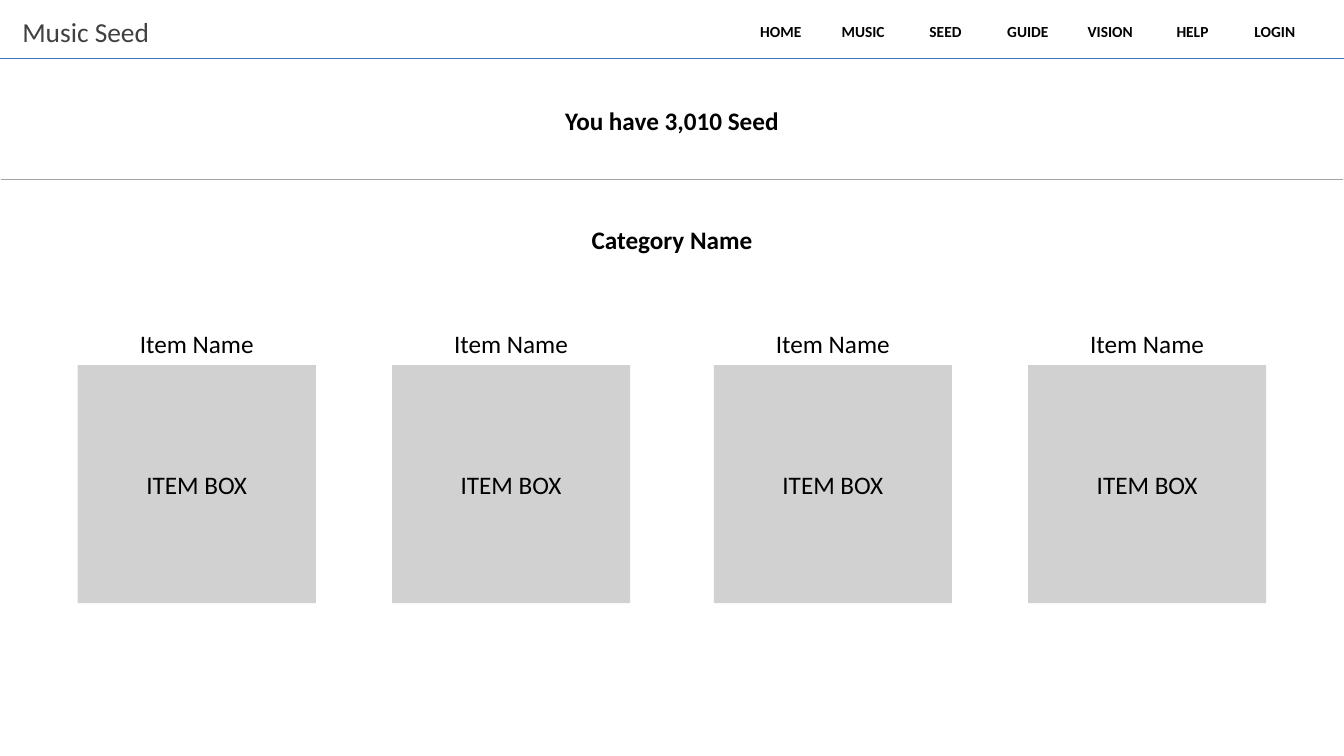
from lxml import etree
from pptx import Presentation
from pptx.dml.color import RGBColor
from pptx.enum.shapes import MSO_CONNECTOR, MSO_SHAPE
from pptx.enum.text import MSO_ANCHOR, PP_ALIGN
from pptx.oxml import parse_xml
from pptx.oxml.ns import nsdecls, qn
from pptx.util import Cm, Pt

FONT = "Calibri"
BLACK = RGBColor(0x00, 0x00, 0x00)
WHITE = RGBColor(0xFF, 0xFF, 0xFF)
DARK_GREY = RGBColor(0x40, 0x40, 0x40)
GREY = RGBColor(0xA5, 0xA5, 0xA5)
BLUE = RGBColor(0x44, 0x72, 0xC4)

# Lengths in centimetres
SLIDE_W, SLIDE_H = 33.87, 19.05
MENU = ["HOME", "MUSIC", "SEED", "GUIDE", "VISION", "HELP", "LOGIN"]
BOX = 6.0
BOX_TOP = 9.2
LABEL_H = 1.08
OUTER, INNER = 1.96, 9.88
# The right pair of items mirrors the left pair
ITEM_LEFTS = [OUTER, INNER, SLIDE_W - INNER - BOX, SLIDE_W - OUTER - BOX]


def place(left, top, width, height):
    return Cm(left), Cm(top), Cm(width), Cm(height)


def write(frame, text, size=18, color=BLACK, bold=False):
    """Fill a text frame with one centred line."""
    frame.text = text
    frame.word_wrap = True
    frame.vertical_anchor = MSO_ANCHOR.MIDDLE
    paragraph = frame.paragraphs[0]
    paragraph.alignment = PP_ALIGN.CENTER
    font = paragraph.runs[0].font
    font.name, font.size, font.bold = FONT, Pt(size), bold
    font.color.rgb = color


def add_label(slide, box, text, **style):
    write(slide.shapes.add_textbox(*place(*box)).text_frame, text, **style)


def add_item_box(slide, left, text):
    shape = slide.shapes.add_shape(
        MSO_SHAPE.RECTANGLE, *place(left, BOX_TOP, BOX, BOX))
    shape.shadow.inherit = False
    shape.fill.solid()
    shape.fill.fore_color.rgb = GREY
    color = shape.fill._xPr.find(qn("a:solidFill"))[0]
    etree.SubElement(color, qn("a:alpha"), val="50000")
    shape.line.fill.background()
    write(shape.text_frame, text)


def add_rule(slide, top, color, width):
    line = slide.shapes.add_connector(
        MSO_CONNECTOR.STRAIGHT, Cm(0), Cm(top), Cm(SLIDE_W), Cm(top))
    line.line.color.rgb = color
    line.line.width = Pt(width)
    etree.SubElement(line._element.spPr, qn("a:effectLst"))


def set_border(cell, side, color, width):
    cell._tc.get_or_add_tcPr().append(parse_xml(
        f'<a:ln{side} {nsdecls("a")} w="{Pt(width)}"><a:solidFill>'
        f'<a:srgbClr val="{color}"/></a:solidFill></a:ln{side}>'))


def add_row_table(slide, box, texts, borders, size, fill=None, margins=None):
    """Add a one-row table; borders maps a side to (colour, width)."""
    table = slide.shapes.add_table(1, len(texts), *place(*box)).table
    table.first_row = table.horz_banding = False
    for cell, text in zip(table.rows[0].cells, texts):
        for side, (color, width) in borders.items():
            set_border(cell, side, color, width)
        if fill is None:
            cell.fill.background()
        else:
            cell.fill.solid()
            cell.fill.fore_color.rgb = fill
        if margins:
            cell.margin_left = cell.margin_right = Cm(margins[0])
            cell.margin_top = cell.margin_bottom = Cm(margins[1])
        write(cell.text_frame, text, size=size, bold=True)
        cell.vertical_anchor = MSO_ANCHOR.MIDDLE


def main():
    prs = Presentation()
    prs.slide_width, prs.slide_height = Cm(SLIDE_W), Cm(SLIDE_H)
    slide = prs.slides.add_slide(prs.slide_layouts[5])

    # Header: menu, site name and rule
    menu_borders = {"L": (WHITE, 1), "R": (WHITE, 1),
                    "T": (WHITE, 1), "B": (WHITE, 3)}
    add_row_table(slide, (18.64, 0.33, 14.53, 0.91), MENU, menu_borders,
                  size=11, fill=WHITE, margins=(0.46, 0.23))
    add_label(slide, (0, 0.13, 4.32, 1.32), "Music Seed",
              size=19.6, color=DARK_GREY)
    add_rule(slide, 1.47, BLUE, 0.5)

    # Seed balance
    add_row_table(slide, (0, 1.63, SLIDE_W, 2.9), ["You have 3,010 Seed"],
                  {"B": (GREY, 1)}, size=18)

    # Category heading
    title = slide.shapes.title
    title.left, title.top, title.width, title.height = place(
        (SLIDE_W - BOX) / 2, 5.49, BOX, LABEL_H)
    write(title.text_frame, "Category Name", bold=True)

    # Items
    for left in ITEM_LEFTS:
        add_item_box(slide, left, "ITEM BOX")
        add_label(slide, (left, BOX_TOP - LABEL_H, BOX, LABEL_H), "Item Name")

    prs.save("out.pptx")


main()
